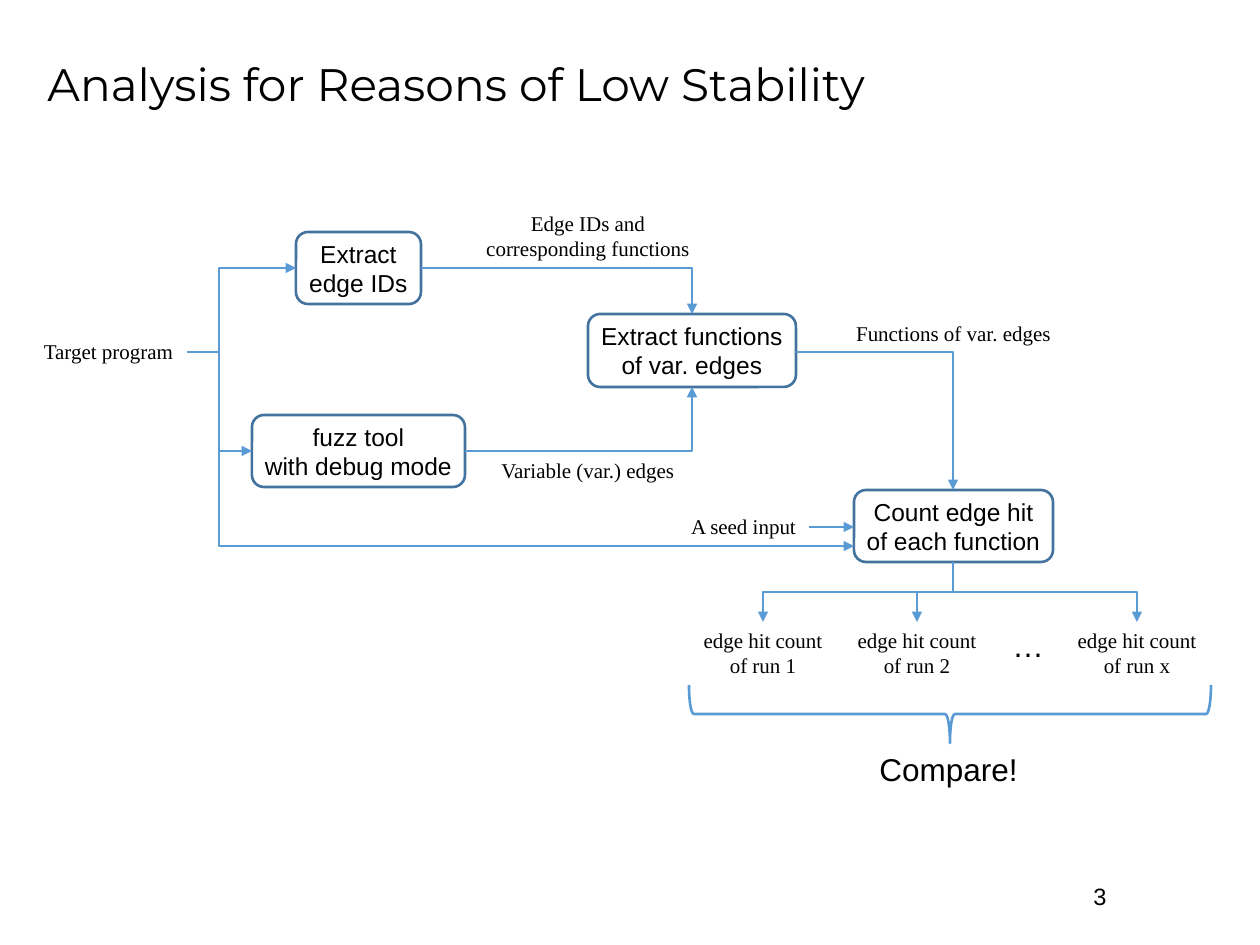
import pptx
import pptx.util
import pptx.dml.color
import pptx.enum.shapes
import pptx.enum.text
import pptx.oxml.ns
from dataclasses import dataclass

SHAPE = pptx.enum.shapes.MSO_SHAPE
LINE = pptx.enum.shapes.MSO_CONNECTOR
ALIGN = pptx.enum.text.PP_ALIGN
ANCHOR = pptx.enum.text.MSO_ANCHOR
qn = pptx.oxml.ns.qn


@dataclass(frozen=True)
class Theme:
    """Colours, fonts, type sizes and line width."""
    ink: str = "000000"
    flow: str = "5B9BD5"
    border: str = "43739E"
    sans: str = "Arial"
    serif: str = "Times New Roman"
    display: str = "Montserrat"
    title: float = 26
    large: float = 18
    step: float = 14
    number: float = 13.5
    label: float = 12
    stroke: float = 1.5


def px(n):
    """Turn pixels into EMU."""
    return pptx.util.Emu(round(n * 914400 / 126))


def rgb(value):
    """Turn a hex string into a colour."""
    return pptx.dml.color.RGBColor.from_string(value)


def write(sp, text, font, size, color, align=ALIGN.CENTER,
          anchor=ANCHOR.TOP, wrap=False, spacing=None):
    """Fill a shape with text, one paragraph a line."""
    tf = sp.text_frame
    tf.word_wrap = wrap
    tf.vertical_anchor = anchor
    for i, line in enumerate(text.split("\n")):
        p = tf.add_paragraph() if i else tf.paragraphs[0]
        p.alignment = align
        if spacing:
            p.line_spacing = spacing
        r = p.add_run()
        r.text = line
        r.font.name = font
        r.font.size = pptx.util.Pt(size)
        r.font.color.rgb = rgb(color)


class Diagram:
    """Draws flow diagram elements on one slide."""

    def __init__(self, slide, theme):
        """Keep the slide and its theme."""
        self.s = slide
        self.t = theme

    def text(self, box, text, font, size, **fmt):
        """Add a text box."""
        sp = self.s.shapes.add_textbox(*map(px, box))
        write(sp, text, font, size, self.t.ink, **fmt)

    def label(self, box, text):
        """Add a small serif label."""
        self.text(box, text, self.t.serif, self.t.label)

    def outline(self, kind, box, color):
        """Add an unfilled preset shape."""
        sp = self.s.shapes.add_shape(kind, *map(px, box))
        sp.shadow.inherit = False
        sp.fill.background()
        sp.line.color.rgb = rgb(color)
        sp.line.width = pptx.util.Pt(self.t.stroke)
        return sp

    def step(self, box, text):
        """Add a rounded process box."""
        sp = self.outline(SHAPE.ROUNDED_RECTANGLE, box, self.t.border)
        write(sp, text, self.t.sans, self.t.step, self.t.ink,
              anchor=ANCHOR.MIDDLE)

    def arrow(self, start, end, kind=LINE.STRAIGHT):
        """Add a connector with an arrowhead at its end."""
        c = self.s.shapes.add_connector(kind, *map(px, (*start, *end)))
        c.line.color.rgb = rgb(self.t.flow)
        c.line.width = pptx.util.Pt(self.t.stroke)
        spPr = c._element.spPr
        ln = spPr.find(qn("a:ln"))
        ln.append(ln.makeelement(qn("a:tailEnd"), {"type": "triangle"}))
        spPr.append(spPr.makeelement(qn("a:effectLst"), {}))
        return spPr

    def corner(self, start, end):
        """Add an arrow that runs across, then turns once."""
        spPr = self.arrow(start, end, LINE.ELBOW)
        spPr.find(qn("a:prstGeom")).set("prst", "bentConnector2")

    def branch(self, start, end, turn):
        """Add an arrow that runs across, turns at x = turn, then across."""
        spPr = self.arrow(start, end, LINE.ELBOW)
        guides = spPr.find(qn("a:prstGeom")).get_or_add_avLst()
        adj = round(100000 * (turn - start[0]) / (end[0] - start[0]))
        guides.append(guides.makeelement(
            qn("a:gd"), {"name": "adj1", "fmla": f"val {adj}"}))

    def drop(self, start, end):
        """Add an arrow that runs down, across at half height, then down."""
        (x1, y1), (x2, y2) = start, end
        cx, cy = (x1 + x2) / 2, (y1 + y2) / 2
        dx, dy = (x2 - x1) / 2, (y2 - y1) / 2
        spPr = self.arrow((cx - dy, cy + dx), (cx + dy, cy - dx), LINE.ELBOW)
        spPr.find(qn("a:xfrm")).set("rot", "5400000")


def build():
    """Build the slide and save it."""
    prs = pptx.Presentation()
    prs.slide_width, prs.slide_height = px(1260), px(945)
    t = Theme()
    d = Diagram(prs.slides.add_slide(prs.slide_layouts[6]), t)

    d.text((35, 22, 1190, 130), "Analysis for Reasons of Low Stability",
           t.display, t.title, align=ALIGN.LEFT, anchor=ANCHOR.MIDDLE,
           wrap=True, spacing=0.9)

    for box, text in (
            ((296, 232, 125, 72), "Extract\nedge IDs"),
            ((588, 314, 208, 73), "Extract functions\nof var. edges"),
            ((252, 415, 213, 72), "fuzz tool\nwith debug mode"),
            ((854, 490, 199, 72), "Count edge hit\nof each function")):
        d.step(box, text)

    for box, text in (
            ((472, 204, 232, 63), "Edge IDs and\ncorresponding functions"),
            ((30, 332, 157, 38), "Target program"),
            ((488, 451, 200, 38), "Variable (var.) edges"),
            ((842, 314, 223, 38), "Functions of var. edges"),
            ((678, 507, 131, 38), "A seed input")):
        d.label(box, text)

    for end in ((296, 268), (252, 451), (854, 546)):
        d.branch((187, 352), end, 219)
    d.corner((421, 268), (692, 314))
    d.corner((465, 451), (692, 387))
    d.corner((796, 352), (953, 490))
    d.arrow((809, 527), (854, 527))

    for run, x in (("1", 763), ("2", 917), ("x", 1137)):
        d.drop((953, 562), (x, 622))
        d.label((x - 73, 621, 146, 63), f"edge hit count\nof run {run}")
    d.text((1000, 620, 57, 50), "…", t.sans, t.large, align=ALIGN.LEFT)

    brace = d.outline(SHAPE.LEFT_BRACE, (921, 453, 58, 522), t.flow)
    brace.rotation = 270
    d.text((867, 744, 165, 50), "Compare!", t.sans, t.large, align=ALIGN.LEFT)
    d.text((1081, 876, 54, 42), "3", t.sans, t.number, align=ALIGN.LEFT)

    prs.save("out.pptx")


build()
